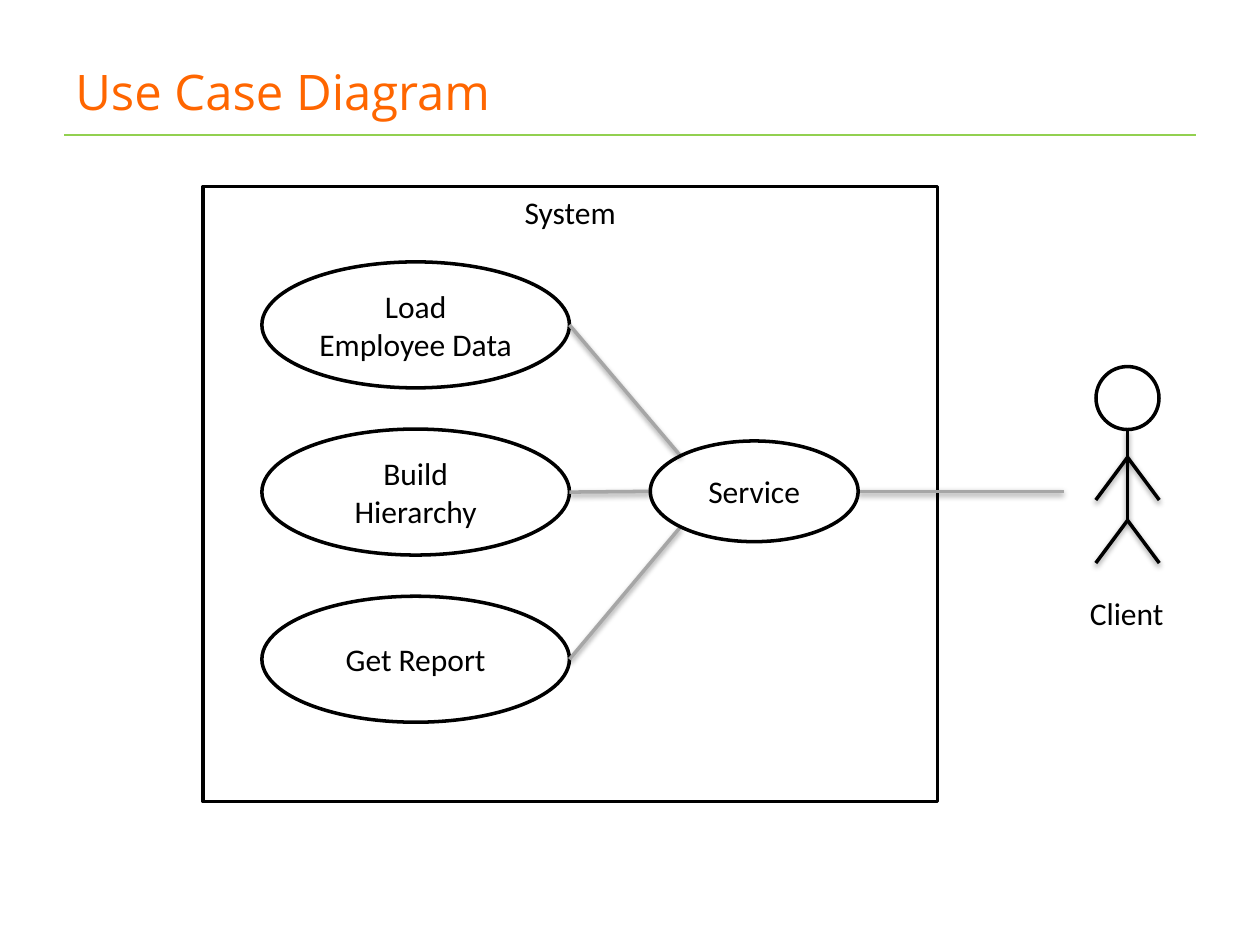
from dataclasses import dataclass
from typing import Any

from lxml import etree
from pptx import Presentation
from pptx import util as u
from pptx.dml.color import RGBColor
from pptx.enum import shapes, text
from pptx.oxml.ns import qn

BLACK, GREY, GREEN, ORANGE = "000000", "A6A6A6", "92D050", "FF6600"
OVAL, BOX = shapes.MSO_SHAPE.OVAL, shapes.MSO_SHAPE.RECTANGLE
MIDDLE, TOP = text.MSO_ANCHOR.MIDDLE, text.MSO_ANCHOR.TOP
LEFT, CENTER = text.PP_ALIGN.LEFT, text.PP_ALIGN.CENTER


@dataclass(frozen=True)
class Node:
    """An outlined shape with a label; lengths in centimetres."""
    label: str
    left: float
    top: float
    width: float
    height: float
    kind: Any = OVAL
    anchor: Any = MIDDLE

    @property
    def right(self) -> float:
        return self.left + self.width

    @property
    def middle(self) -> float:
        return self.top + self.height / 2


@dataclass(frozen=True)
class Link:
    """A straight line between two points in centimetres."""
    x1: float
    y1: float
    x2: float
    y2: float
    color: str = BLACK
    width: float = 2
    shadow: bool = True


def rgb(value: str) -> RGBColor:
    """Turn a hex string into a colour."""
    return RGBColor.from_string(value)


def apply(target: Any, values: dict[str, Any]) -> None:
    """Set each named attribute on the target."""
    for name, value in values.items():
        setattr(target, name, value)


def write(shape: Any, label: str, frame_format: dict[str, Any], align: Any = CENTER,
          font: str = "Calibri", size: float = 18, color: str = BLACK) -> None:
    """Write a label into a shape and format it."""
    apply(shape.text_frame, frame_format)
    paragraph = shape.text_frame.paragraphs[0]
    paragraph.text = label
    paragraph.alignment = align
    for run in paragraph.runs:
        apply(run.font, {"name": font, "size": u.Pt(size)})
        run.font.color.rgb = rgb(color)


def add_node(slide: Any, node: Node) -> None:
    """Draw an unfilled, black-edged shape."""
    shape = slide.shapes.add_shape(
        node.kind, *map(u.Cm, (node.left, node.top, node.width, node.height)))
    shape.shadow.inherit = False
    shape.fill.background()
    shape.line.color.rgb = rgb(BLACK)
    shape.line.width = u.Pt(2)
    if node.label:
        write(shape, node.label, {"word_wrap": True, "vertical_anchor": node.anchor,
                                  "margin_left": u.Cm(0.1), "margin_right": u.Cm(0.1)})


def add_link(slide: Any, link: Link) -> None:
    """Draw a line, with a soft shadow below it if wanted."""
    line = slide.shapes.add_connector(
        shapes.MSO_CONNECTOR.STRAIGHT, *map(u.Cm, (link.x1, link.y1, link.x2, link.y2)))
    line.line.color.rgb = rgb(link.color)
    line.line.width = u.Pt(link.width)
    effects = etree.SubElement(line._element.spPr, qn("a:effectLst"))
    if link.shadow:
        shadow = etree.SubElement(effects, qn("a:outerShdw"), blurRad="40000",
                                  dist="20000", dir="5400000", rotWithShape="0")
        color = etree.SubElement(shadow, qn("a:srgbClr"), val=BLACK)
        etree.SubElement(color, qn("a:alpha"), val="38000")


def add_text(slide: Any, label: str, box: tuple[float, ...], wrap: bool = True,
             **style: Any) -> None:
    """Add a left-aligned text box."""
    shape = slide.shapes.add_textbox(*map(u.Cm, box))
    write(shape, label, {"word_wrap": wrap, "vertical_anchor": MIDDLE}, LEFT, **style)


def add_client(slide: Any, center: float, top: float) -> None:
    """Draw the stick figure and its caption."""
    head, spread, drop = 1.27, 0.64, 0.86
    neck, shoulder, hip = top + head, top + 1.83, top + 3.1
    add_node(slide, Node("", center - head / 2, top, head, head))
    add_link(slide, Link(center, neck, center, hip))
    for joint in (shoulder, hip):
        for side in (-spread, spread):
            add_link(slide, Link(center, joint, center + side, joint + drop))
    add_text(slide, "Client", (21.72, 11.84, 2.01, 1.02), wrap=False)


def main() -> None:
    """Build the use case slide."""
    presentation = Presentation()
    apply(presentation, {"slide_width": u.Cm(25.4), "slide_height": u.Cm(19.05)})
    slide = presentation.slides.add_slide(presentation.slide_layouts[6])

    add_link(slide, Link(1.3, 2.72, 24.1, 2.72, GREEN, 0.75, shadow=False))
    add_text(slide, "Use Case Diagram", (1.27, 0.76, 22.86, 2.16),
             font="Open Sans", size=28, color=ORANGE)

    add_node(slide, Node("System", 4.09, 3.76, 14.81, 12.4, BOX, TOP))
    labels = ("Load\vEmployee Data", "Build\vHierarchy", "Get Report")
    cases = [Node(label, 5.28, 5.28 + 3.37 * row, 6.2, 2.54)
             for row, label in enumerate(labels)]
    service = Node("Service", 13.11, 8.89, 4.19, 2.03)
    joints = ((13.72, 9.19), (service.left, service.middle), (13.72, 10.62))
    for case, joint in zip(cases, joints):
        add_node(slide, case)
        add_link(slide, Link(case.right, case.middle, *joint, GREY))
    add_link(slide, Link(service.right, service.middle, 21.44, service.middle, GREY))
    add_node(slide, service)
    add_client(slide, 22.73, 7.39)

    presentation.save("out.pptx")


main()
